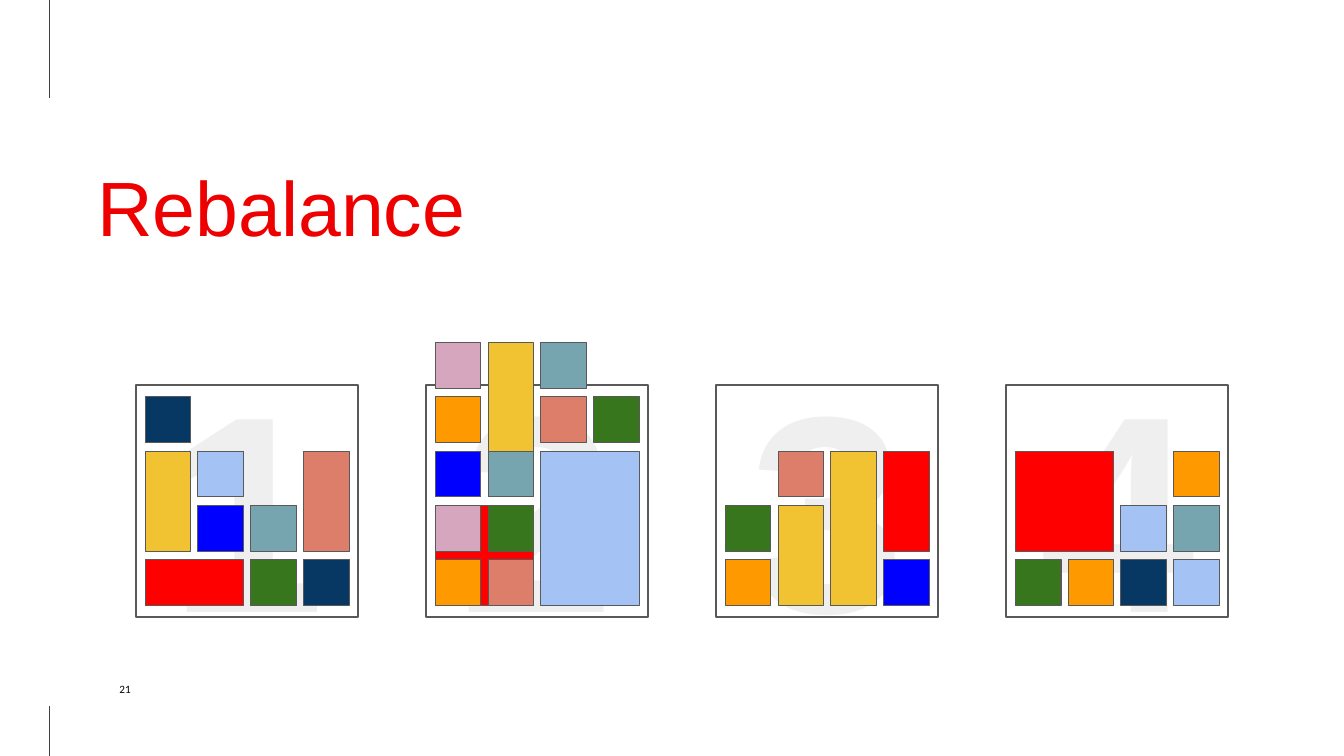
from lxml.etree import SubElement
from pptx import Presentation
from pptx.dml.color import RGBColor
from pptx.enum.shapes import MSO_CONNECTOR, MSO_SHAPE
from pptx.enum.text import MSO_ANCHOR, PP_ALIGN
from pptx.oxml.ns import qn
from pptx.util import Cm, Pt

TITLE_RED = RGBColor(0xEE, 0x00, 0x00)
BLACK = RGBColor(0x00, 0x00, 0x00)
RULE_GREY = RGBColor(0x40, 0x40, 0x40)
OUTLINE = RGBColor(0x59, 0x59, 0x59)
PALE_GREY = RGBColor(0xEF, 0xEF, 0xEF)
RED = RGBColor(0xFF, 0x00, 0x00)
BLUE = RGBColor(0x00, 0x00, 0xFF)
GREEN = RGBColor(0x38, 0x76, 0x1D)
ORANGE = RGBColor(0xFF, 0x99, 0x00)
YELLOW = RGBColor(0xF1, 0xC2, 0x32)
SALMON = RGBColor(0xDD, 0x7E, 0x6B)
SKY = RGBColor(0xA4, 0xC2, 0xF4)
TEAL = RGBColor(0x76, 0xA5, 0xAF)
NAVY = RGBColor(0x07, 0x37, 0x63)
PINK = RGBColor(0xD5, 0xA6, 0xBD)

SLIDE_WIDTH, SLIDE_HEIGHT = Cm(33.87), Cm(19.05)
NODE_LEFT, NODE_TOP, NODE_PITCH = Cm(3.43), Cm(9.7), Cm(7.31)
NODE_WIDTH, NODE_HEIGHT = Cm(5.59), Cm(5.84)
BLOCK, COLUMN_PITCH, ROW_PITCH = Cm(1.15), Cm(1.33), Cm(1.37)
NODE_MARGIN_X, NODE_MARGIN_BOTTOM = Cm(0.23), Cm(0.28)
TEXT_INSET = Cm(0.25)

# Blocks of each node: column, row counted from the bottom, colour,
# then columns and rows spanned where that is more than one.
NODES = [
    [(0, 0, RED, 2, 1), (1, 1, BLUE), (2, 0, GREEN), (0, 1, YELLOW, 1, 2),
     (3, 1, SALMON, 1, 2), (1, 2, SKY), (2, 1, TEAL), (0, 3, NAVY), (3, 0, NAVY)],
    [(0, 0, RED, 2, 2), (0, 3, ORANGE), (0, 2, BLUE), (3, 3, GREEN),
     (1, 2, YELLOW, 1, 3), (2, 3, SALMON), (2, 0, SKY, 2, 3), (2, 4, TEAL),
     (0, 4, PINK), (0, 0, ORANGE), (1, 1, GREEN), (1, 0, SALMON),
     (1, 2, TEAL), (0, 1, PINK)],
    [(3, 1, RED, 1, 2), (0, 0, ORANGE), (3, 0, BLUE), (0, 1, GREEN),
     (1, 0, YELLOW, 1, 2), (1, 2, SALMON), (2, 0, SKY), (2, 1, TEAL),
     (2, 2, NAVY), (2, 0, YELLOW, 1, 3)],
    [(0, 0, GREEN), (3, 0, SKY), (1, 0, ORANGE), (0, 1, RED, 2, 2),
     (2, 1, SKY), (3, 1, TEAL), (2, 0, NAVY), (3, 2, ORANGE)],
]


def set_font(paragraph, name, size, color, bold=False):
    font = paragraph.font
    font.name, font.size, font.bold = name, Pt(size), bold
    font.color.rgb = color


def set_insets(frame, left, top, right, bottom):
    frame.margin_left, frame.margin_top = left, top
    frame.margin_right, frame.margin_bottom = right, bottom


def add_outlined_box(slide, left, top, width, height, line_width):
    box = slide.shapes.add_shape(MSO_SHAPE.RECTANGLE, left, top, width, height)
    box.shadow.inherit = False
    box.line.color.rgb = OUTLINE
    box.line.width = Pt(line_width)
    return box


def add_margin_rule(slide, left, top, bottom):
    rule = slide.shapes.add_connector(MSO_CONNECTOR.STRAIGHT, left, top, left, bottom)
    rule.line.color.rgb = RULE_GREY
    rule.line.width = Pt(0.75)
    SubElement(rule.element.spPr, qn("a:effectLst"))


def add_title(slide, left, top, width, height):
    title = slide.shapes.title
    title.left, title.top, title.width, title.height = left, top, width, height
    frame = title.text_frame
    frame.text = "Rebalance"
    frame.vertical_anchor = MSO_ANCHOR.TOP
    set_insets(frame, Cm(1.2), TEXT_INSET, TEXT_INSET, TEXT_INSET)
    heading = frame.paragraphs[0]
    heading.alignment = PP_ALIGN.LEFT
    set_font(heading, "Arial", 55, TITLE_RED)


def add_page_number(slide, left, top, width, height):
    frame = slide.shapes.add_textbox(left, top, width, height).text_frame
    set_insets(frame, 0, 0, 0, 0)
    frame.word_wrap = True
    frame.vertical_anchor = MSO_ANCHOR.BOTTOM
    number = frame.paragraphs[0]
    number.text = "21"
    number.alignment = PP_ALIGN.CENTER
    set_font(number, "Calibri", 8, BLACK)


def add_node(slide, left, top, width, height, number, blocks):
    """Draw a numbered frame and stack its blocks from the bottom up."""
    node = add_outlined_box(slide, left, top, width, height, 1.5)
    node.fill.background()
    frame = node.text_frame
    frame.vertical_anchor = MSO_ANCHOR.MIDDLE
    set_insets(frame, TEXT_INSET, TEXT_INSET, TEXT_INSET, TEXT_INSET)
    digit = frame.paragraphs[0]
    digit.text = str(number)
    digit.alignment = PP_ALIGN.CENTER
    set_font(digit, "Arial", 200, PALE_GREY, bold=True)

    floor = top + height - NODE_MARGIN_BOTTOM
    for column, row, color, *span in blocks:
        columns, rows = span or (1, 1)
        block_width = BLOCK + (columns - 1) * COLUMN_PITCH
        block_height = BLOCK + (rows - 1) * ROW_PITCH
        block = add_outlined_box(
            slide, left + NODE_MARGIN_X + column * COLUMN_PITCH,
            floor - row * ROW_PITCH - block_height, block_width, block_height, 0.75)
        block.fill.solid()
        block.fill.fore_color.rgb = color


def main():
    deck = Presentation()
    deck.slide_width, deck.slide_height = SLIDE_WIDTH, SLIDE_HEIGHT
    slide = deck.slides.add_slide(deck.slide_layouts.get_by_name("Title Only"))
    add_margin_rule(slide, Cm(1.25), 0, Cm(2.47))
    add_margin_rule(slide, Cm(1.25), Cm(17.78), SLIDE_HEIGHT)
    add_page_number(slide, Cm(2.14), Cm(17.12), Cm(2.03), Cm(0.41))
    add_title(slide, Cm(1.25), Cm(3.78), Cm(31.37), Cm(12.19))
    for index, blocks in enumerate(NODES):
        add_node(slide, NODE_LEFT + index * NODE_PITCH, NODE_TOP,
                 NODE_WIDTH, NODE_HEIGHT, index + 1, blocks)
    deck.save("out.pptx")


if __name__ == "__main__":
    main()
